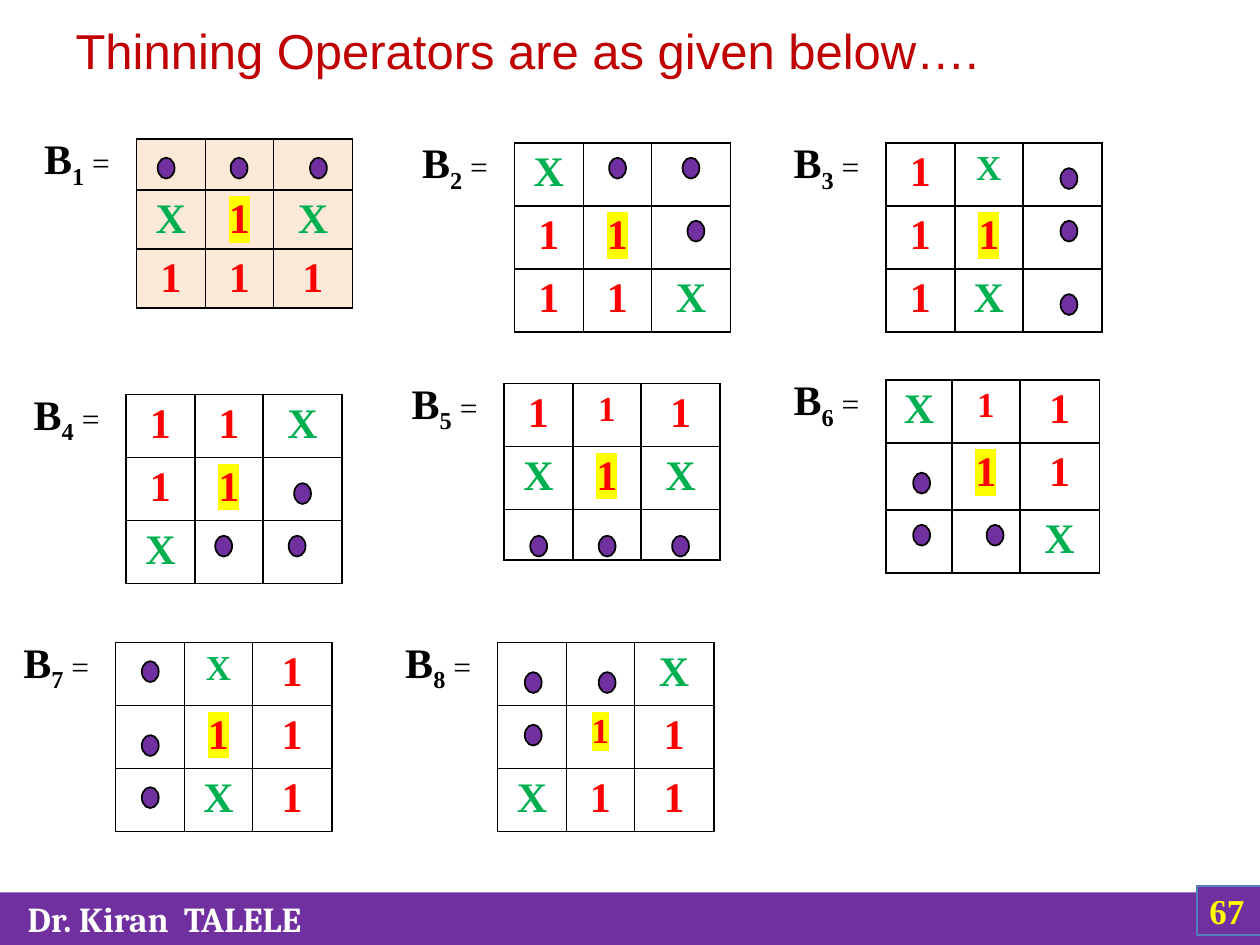
from lxml import etree
from pptx import Presentation
from pptx.dml.color import RGBColor
from pptx.enum.shapes import MSO_SHAPE
from pptx.enum.text import MSO_ANCHOR, PP_ALIGN
from pptx.oxml.ns import qn
from pptx.util import Cm, Pt

OVAL, RECT = MSO_SHAPE.OVAL, MSO_SHAPE.RECTANGLE
MIDDLE = MSO_ANCHOR.MIDDLE
LEFT, CENTER = PP_ALIGN.LEFT, PP_ALIGN.CENTER
SERIF = "Times New Roman"
COLORS = {
    "title": "C00000", "one": "FF0000", "any": "00B050", "purple": "7030A0",
    "black": "000000", "white": "FFFFFF", "yellow": "FFFF00",
    "peach": "FDE9D8", "blue": "4F81BD",
}


def add_run(p, text, size=24, font=SERIF, color="black", bold=True, highlight=None, baseline=None):
    r = p.add_run()
    r.text = text
    r.font.size = Pt(size)
    r.font.bold = bold
    r.font.color.rgb = RGBColor.from_string(COLORS[color])
    rpr = r.font._element
    if highlight:
        mark = etree.Element(qn("a:highlight"))
        etree.SubElement(mark, qn("a:srgbClr"), val=COLORS[highlight])
        rpr.find(qn("a:solidFill")).addnext(mark)
    if baseline:
        rpr.set("baseline", str(baseline))
    r.font.name = font


def add_filled(kind, x, y, w, h, line=None, width=1):
    sp = s.shapes.add_shape(kind, Cm(x), Cm(y), Cm(w), Cm(h))
    sp.shadow.inherit = False
    sp.fill.solid()
    sp.fill.fore_color.rgb = RGBColor.from_string(COLORS["purple"])
    if line:
        sp.line.color.rgb = RGBColor.from_string(COLORS[line])
        sp.line.width = Pt(width)
    else:
        sp.line.fill.background()
    return sp


prs = Presentation()
prs.slide_width, prs.slide_height = Cm(25.4), Cm(19.05)
s = prs.slides.add_slide(prs.slide_layouts[5])

title = s.shapes.title
title.left, title.top, title.width, title.height = Cm(1.27), Cm(0.33), Cm(22.86), Cm(1.35)
tf = title.text_frame
tf.vertical_anchor = MIDDLE
p = tf.paragraphs[0]
p.alignment = LEFT
add_run(p, "Thinning Operators are as given below….", size=28, font="Arial", color="title", bold=False)

# left, top, cell rows, row heights, cell set in small type, dot positions
operators = [
    (2.75, 2.8, ("   ", "X1X", "111"), (0.98, 1.19, 1.19), None,
     [(3.18, 3.18), (4.65, 3.18), (6.25, 3.18)]),
    (10.37, 2.88, ("X  ", "11 ", "11X"), (1.27, 1.27, 1.27), None,
     [(12.28, 3.18), (13.76, 3.18), (13.86, 4.45)]),
    (17.86, 2.88, ("1X ", "11 ", "1X "), (1.27, 1.27, 1.27), (0, 1),
     [(21.38, 3.39), (21.38, 4.45), (21.38, 5.93)]),
    (2.54, 7.95, ("11X", "11 ", "X  "), (1.27, 1.27, 1.27), None,
     [(5.93, 9.74), (4.34, 10.8), (5.82, 10.8)]),
    (10.16, 7.73, ("111", "X1X", "   "), (1.27, 1.27, 1.02), (0, 1),
     [(10.69, 10.8), (12.07, 10.8), (13.55, 10.8)]),
    (17.86, 7.66, ("X11", " 11", "  X"), (1.27, 1.35, 1.27), (0, 1),
     [(18.41, 9.53), (18.41, 10.58), (19.89, 10.58)]),
    (2.33, 12.95, (" X1", " 11", " X1"), (1.27, 1.27, 1.27), (0, 1),
     [(2.86, 13.33), (2.86, 14.82), (2.86, 15.87)]),
    (10.03, 12.95, ("  X", " 11", "X11"), (1.27, 1.27, 1.27), (1, 1),
     [(10.58, 13.55), (12.07, 13.55), (10.58, 14.61)]),
]

for n, (x, y, rows, heights, small, dots) in enumerate(operators, 1):
    widths = (1.33 if n == 6 else 1.39, 1.37, 1.6)
    tbl = s.shapes.add_table(3, 3, Cm(x), Cm(y), Cm(sum(widths)), Cm(sum(heights))).table
    tbl.first_row = tbl.horz_banding = False
    for i in range(3):
        tbl.columns[i].width = Cm(widths[i])
        tbl.rows[i].height = Cm(heights[i])
    for i, row in enumerate(rows):
        for j, mark in enumerate(row):
            cell = tbl.cell(i, j)
            tcpr = cell._tc.get_or_add_tcPr()
            for side in ("lnL", "lnR", "lnT", "lnB"):
                ln = etree.SubElement(tcpr, qn(f"a:{side}"), w=str(Pt(1)))
                fill = etree.SubElement(ln, qn("a:solidFill"))
                etree.SubElement(fill, qn("a:srgbClr"), val=COLORS["black"])
            cell.fill.solid()
            cell.fill.fore_color.rgb = RGBColor.from_string(COLORS["peach" if n == 1 else "white"])
            if mark != " ":
                p = cell.text_frame.paragraphs[0]
                p.alignment = CENTER
                add_run(p, mark, size=20 if (i, j) == small else 24,
                        color="one" if mark == "1" else "any",
                        highlight="yellow" if (i, j) == (1, 1) else None)

    label = s.shapes.add_textbox(Cm(x - 2.11), Cm(y - 0.25), Cm(1.88), Cm(1.27))
    tf = label.text_frame
    tf.word_wrap = False
    p = tf.paragraphs[0]
    add_run(p, "B")
    add_run(p, str(n), baseline=-25000)
    add_run(p, " =", size=18, bold=False)

    for dot_x, dot_y in dots:
        add_filled(OVAL, dot_x, dot_y, 0.34, 0.42, line="black")

footer = add_filled(RECT, 0, 17.99, 25.4, 1.06)
number = add_filled(RECT, 24.13, 17.86, 1.47, 0.99, line="blue", width=0.75)
for sp, text, font, color, inset in (
    (footer, "Dr. Kiran  TALELE", "Cambria", "white", 0.56),
    (number, "67", SERIF, "yellow", 0.25),
):
    tf = sp.text_frame
    tf.margin_left = Cm(inset)
    tf.vertical_anchor = MIDDLE
    p = tf.paragraphs[0]
    p.alignment = LEFT
    add_run(p, text, size=20, font=font, color=color)

prs.save("out.pptx")
